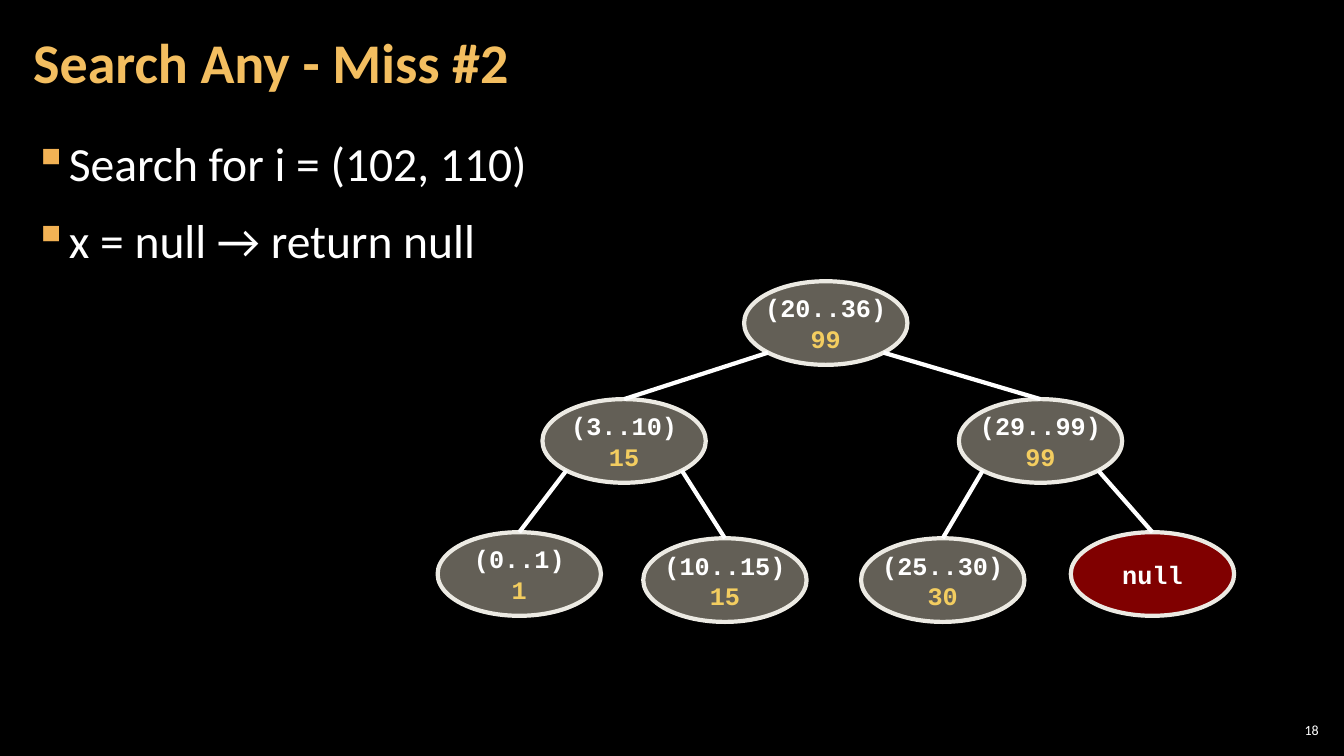
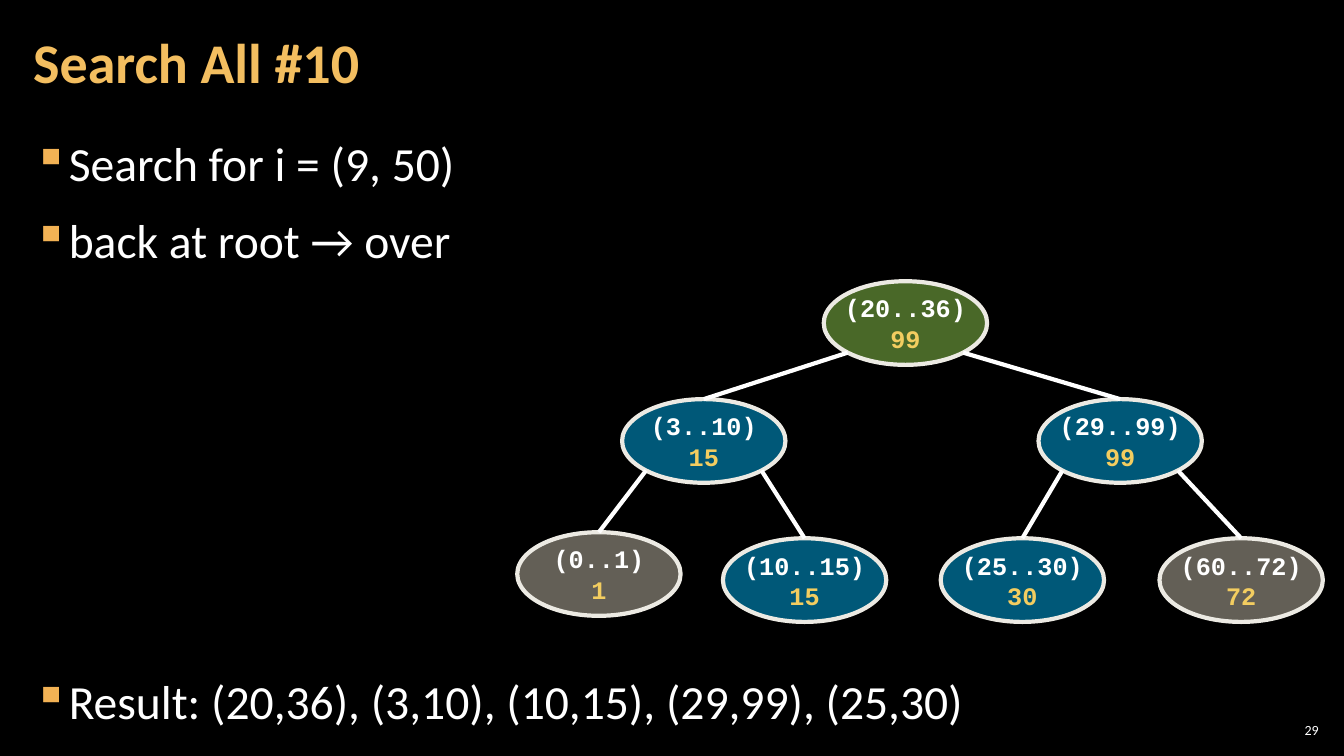
"""Build two slides on searching an interval tree."""
from math import sqrt

from lxml import etree
from pptx import Presentation
from pptx.dml.color import RGBColor
from pptx.enum.shapes import MSO_CONNECTOR, MSO_SHAPE
from pptx.enum.text import MSO_ANCHOR, PP_ALIGN
from pptx.oxml.ns import qn
from pptx.util import Emu, Pt

PX = 9144
SLIDE_W, SLIDE_H = 1333, 750
STRAIGHT, ELLIPSE = MSO_CONNECTOR.STRAIGHT, MSO_SHAPE.OVAL
TOP, MIDDLE = MSO_ANCHOR.TOP, MSO_ANCHOR.MIDDLE
LEFT, CENTER, RIGHT = PP_ALIGN.LEFT, PP_ALIGN.CENTER, PP_ALIGN.RIGHT

BLACK = RGBColor(0x00, 0x00, 0x00)
WHITE = RGBColor(0xFF, 0xFF, 0xFF)
TITLE_GOLD = RGBColor(0xF3, 0xBE, 0x60)
BULLET_GOLD = RGBColor(0xF2, 0xB2, 0x54)
MAX_GOLD = RGBColor(0xF3, 0xCD, 0x60)
OUTLINE = RGBColor(0xEC, 0xEA, 0xE3)
IDLE = RGBColor(0xC7, 0xBF, 0xAC)
MISS = RGBColor(0xFF, 0x00, 0x00)
CURRENT = RGBColor(0x92, 0xD0, 0x50)
FOUND = RGBColor(0x00, 0xB0, 0xF0)

BODY_FONT, CODE_FONT = "Calibri", "Courier New"
TITLE_BOX = (21, 4, 1047, 121)
BODY_BOX = (21, 126, 1291, 160)
RESULT_BOX = (21, 660, 1291, 75)
NUMBER_BOX = (1265, 714, 47, 21)
TREE_TOP = 279
NODE_W, NODE_H = 162, 83
NODE_SPOTS = [(304, 0), (104, 117), (517, 117),
              (0, 249), (204, 255), (420, 255)]
NODE_LABELS = [("(20..36)", "99"), ("(3..10)", "15"), ("(29..99)", "99"),
               ("(0..1)", "1"), ("(10..15)", "15"), ("(25..30)", "30")]


def px(length):
    """Turn px into EMU."""
    return Emu(round(length * PX))


def add_bullet(paragraph):
    """Give a paragraph a gold square bullet with a hanging indent."""
    properties = paragraph._p.get_or_add_pPr()
    properties.set("marL", str(px(33)))
    properties.set("indent", str(px(-33)))
    colour = etree.SubElement(properties, qn("a:buClr"))
    etree.SubElement(colour, qn("a:srgbClr"), val=str(BULLET_GOLD))
    etree.SubElement(properties, qn("a:buChar"), char="▪")


def write(frame, lines, size, colours=(WHITE,), font=BODY_FONT, bold=False,
          align=LEFT, anchor=TOP, spacing=None, gap=0, bullets=False):
    """Fill a text frame, one paragraph a line, cycling through the colours."""
    frame.vertical_anchor = anchor
    for index, line in enumerate(lines):
        paragraph = frame.add_paragraph() if index else frame.paragraphs[0]
        paragraph.alignment = align
        if spacing:
            paragraph.line_spacing = spacing
        if gap:
            paragraph.space_before = Pt(gap if index else 0)
            paragraph.space_after = Pt(gap)
        if bullets:
            add_bullet(paragraph)
        run = paragraph.add_run()
        run.text = line
        run.font.name, run.font.size, run.font.bold = font, Pt(size), bold
        run.font.color.rgb = colours[index % len(colours)]


def add_text(slide, box, lines, side_inset=12, **style):
    """Place a wrapping text box."""
    frame = slide.shapes.add_textbox(*map(px, box)).text_frame
    frame.word_wrap = True
    frame.margin_left = frame.margin_right = px(side_inset)
    frame.margin_top = frame.margin_bottom = px(4)
    write(frame, lines, **style)


def add_points(slide, box, lines):
    """Place a list of bulleted points."""
    add_text(slide, box, lines, size=34, spacing=1.05, gap=6, bullets=True)


def add_node(slide, left, top, label, colour):
    """Draw a half transparent tree node with its interval and maximum."""
    node = slide.shapes.add_shape(
        ELLIPSE, px(left), px(top), px(NODE_W), px(NODE_H))
    node.shadow.inherit = False
    node.fill.solid()
    node.fill.fore_color.rgb = colour
    tint = node.fill._xPr.find(".//" + qn("a:srgbClr"))
    etree.SubElement(tint, qn("a:alpha"), val="50000")
    node.line.color.rgb = OUTLINE
    node.line.width = Pt(3)
    node.text_frame.word_wrap = False
    write(node.text_frame, label, size=18, colours=(WHITE, MAX_GOLD),
          font=CODE_FONT, bold=True, align=CENTER, anchor=MIDDLE)
    return node


def add_branch(slide, parent, child, side):
    """Join a parent's lower left (-1) or right (1) rim to a child's top."""
    reach = 1 / sqrt(2)
    start_x = parent.left + parent.width / 2 * (1 + side * reach)
    start_y = parent.top + parent.height / 2 * (1 + reach)
    branch = slide.shapes.add_connector(
        STRAIGHT, Emu(round(start_x)), Emu(round(start_y)),
        child.left + child.width // 2, child.top)
    branch.end_connect(child, 0)
    branch.line.color.rgb = WHITE
    branch.line.width = Pt(3)
    etree.SubElement(branch._element.spPr, qn("a:effectLst"))


def add_tree(slide, left, top, colours, last_label, last_spot):
    """Draw the seven nodes level by level and the branches between them."""
    spots = NODE_SPOTS + [last_spot]
    labels = NODE_LABELS + [last_label]
    nodes = [add_node(slide, left + x, top + y, label, colour)
             for (x, y), label, colour in zip(spots, labels, colours)]
    for index, child in enumerate(nodes[1:], 1):
        add_branch(slide, nodes[(index - 1) // 2], child,
                   -1 if index % 2 else 1)


def add_search_slide(deck, title, number, points, tree, result=None):
    """Add a slide with title, points, search tree and optional result."""
    slide = deck.slides.add_slide(deck.slide_layouts[6])
    slide.background.fill.solid()
    slide.background.fill.fore_color.rgb = BLACK
    add_text(slide, NUMBER_BOX, [number], side_inset=4, size=10,
             align=RIGHT, anchor=MIDDLE)
    add_points(slide, BODY_BOX, points)
    if result:
        add_points(slide, RESULT_BOX, [result])
    add_text(slide, TITLE_BOX, [title], size=40, colours=(TITLE_GOLD,),
             bold=True, anchor=MIDDLE, spacing=0.9)
    add_tree(slide, top=TREE_TOP, **tree)


def main():
    """Build and save the deck."""
    deck = Presentation()
    deck.slide_width, deck.slide_height = px(SLIDE_W), px(SLIDE_H)
    add_search_slide(
        deck, "Search Any - Miss #2", "18",
        ["Search for i = (102, 110)", "x = null → return null"],
        dict(left=434, colours=[IDLE] * 6 + [MISS],
             last_label=("null",), last_spot=(628, 249)))
    add_search_slide(
        deck, "Search All #10", "29",
        ["Search for i = (9, 50)", "back at root → over"],
        dict(left=513,
             colours=[CURRENT, FOUND, FOUND, IDLE, FOUND, FOUND, IDLE],
             last_label=("(60..72)", "72"), last_spot=(637, 255)),
        "Result: (20,36), (3,10), (10,15), (29,99), (25,30)")
    deck.save("out.pptx")


if __name__ == "__main__":
    main()
